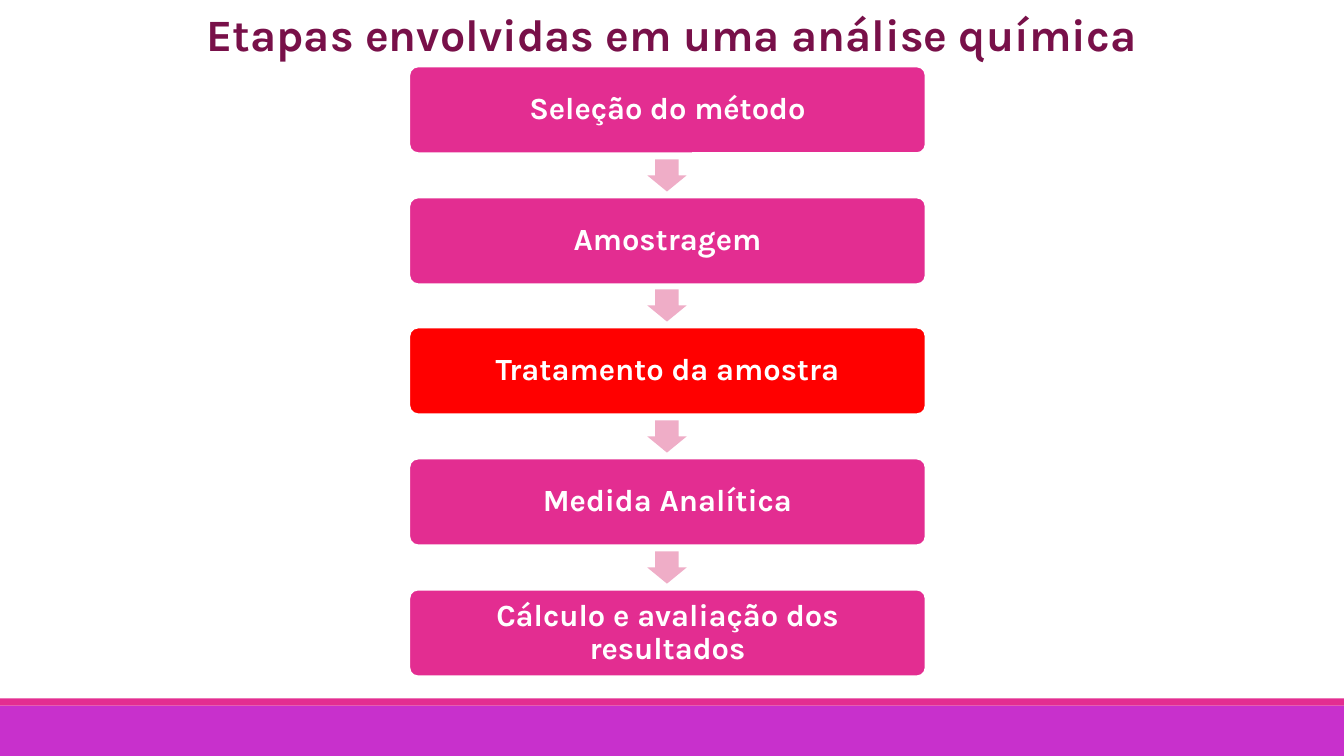
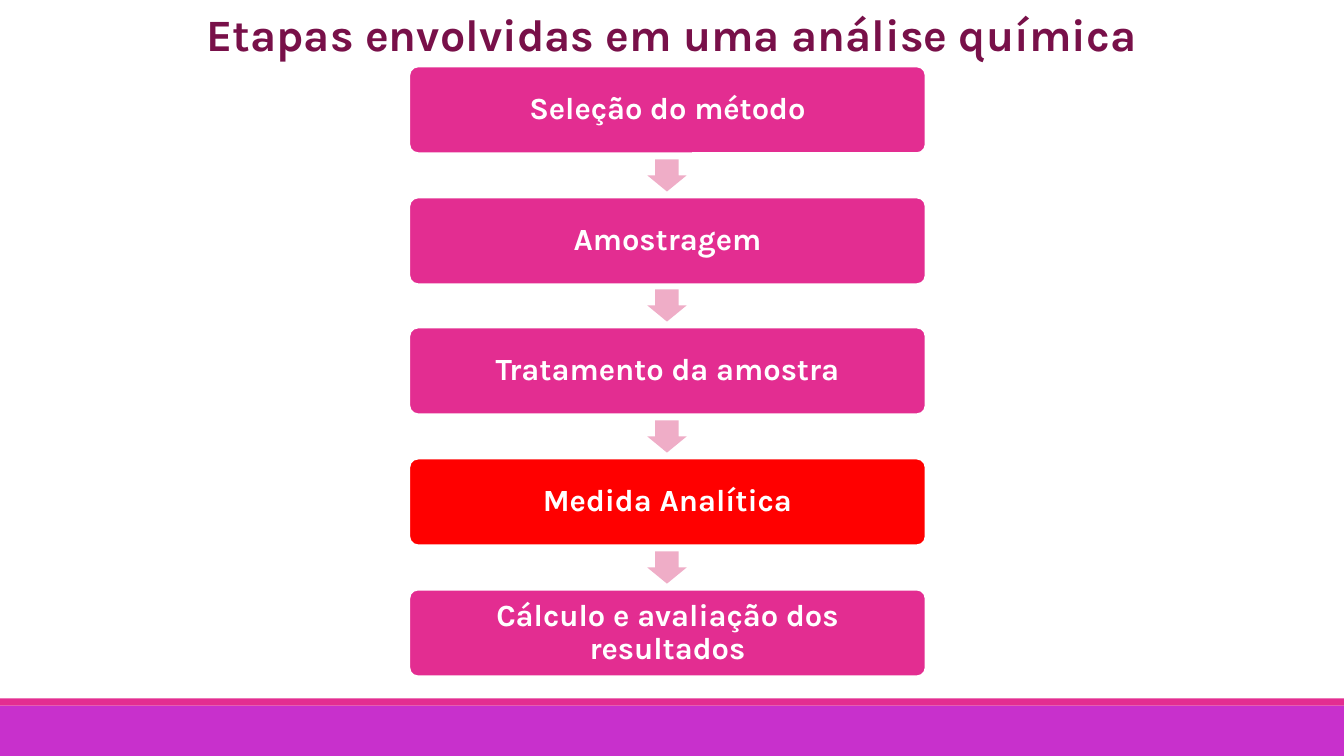
from pptx import Presentation
from pptx.dml.color import RGBColor
from pptx.enum.shapes import MSO_SHAPE
from pptx.enum.text import MSO_ANCHOR, PP_ALIGN
from pptx.util import Emu, Pt

SCALE = 9144
WIDTH, HEIGHT = 1333, 750

PURPLE = "C830CC"
PINK = "E32D91"
PALE_PINK = "EFADC7"
RED = "FF0000"
WINE = "781049"
WHITE = "FFFFFF"

TITLE = "Etapas envolvidas em uma análise química"
STEPS = [
    "Seleção do método",
    "Amostragem",
    "Tratamento da amostra",
    "Medida Analítica",
    "Cálculo e avaliação dos resultados",
]
HIGHLIGHTS = ["Tratamento da amostra", "Medida Analítica"]

BOX_LEFT, BOX_TOP, BOX_WIDTH, BOX_HEIGHT = 406, 66, 512, 86
BOX_PITCH = 129.7
ARROW_WIDTH, ARROW_HEIGHT = 39, 32


def px(length):
    return Emu(length * SCALE)


def color(value):
    return RGBColor.from_string(value)


class Deck:
    font_format = {"name": "Karla", "bold": True}
    step_frame = {
        "word_wrap": True,
        "vertical_anchor": MSO_ANCHOR.MIDDLE,
        "margin_left": px(12),
        "margin_right": px(12),
        "margin_top": px(12),
        "margin_bottom": px(12),
    }

    def __init__(self):
        self.presentation = Presentation()
        self.presentation.slide_width = px(WIDTH)
        self.presentation.slide_height = px(HEIGHT)
        self.page = None

    def add_page(self):
        layout = self.presentation.slide_layouts[6]
        self.page = self.presentation.slides.add_slide(layout)
        self.shape(MSO_SHAPE.RECTANGLE, 0, 700, WIDTH, 50, PURPLE)
        self.shape(MSO_SHAPE.RECTANGLE, 0, 693, WIDTH, 7, PINK)

    def shape(self, kind, left, top, width, height, fill, adjustments=()):
        shape = self.page.shapes.add_shape(kind, px(left), px(top), px(width), px(height))
        shape.shadow.inherit = False
        shape.fill.solid()
        shape.fill.fore_color.rgb = color(fill)
        shape.line.fill.background()
        for index, value in enumerate(adjustments):
            shape.adjustments[index] = value
        return shape

    def label(self, frame, text, size, text_color, line_spacing=1.0):
        para = frame.paragraphs[0]
        para.alignment = PP_ALIGN.CENTER
        para.line_spacing = line_spacing
        span = para.add_run()
        span.text = text
        span.font.size = Pt(size)
        span.font.color.rgb = color(text_color)
        for name, value in self.font_format.items():
            setattr(span.font, name, value)

    def title(self, text):
        box = self.page.shapes.add_textbox(px(0), px(2), px(WIDTH), px(64))
        box.text_frame.word_wrap = True
        self.label(box.text_frame, text, 32, WINE)

    def step(self, text, top, fill):
        box = self.shape(MSO_SHAPE.ROUNDED_RECTANGLE, BOX_LEFT, top,
                         BOX_WIDTH, BOX_HEIGHT, fill, [0.1])
        box.line.color.rgb = color(WHITE)
        box.line.width = Pt(1.25)
        for name, value in self.step_frame.items():
            setattr(box.text_frame, name, value)
        self.label(box.text_frame, text, 22, WHITE, 0.9)

    def arrow(self, top):
        left = BOX_LEFT + (BOX_WIDTH - ARROW_WIDTH) // 2
        self.shape(MSO_SHAPE.DOWN_ARROW, left, top, ARROW_WIDTH, ARROW_HEIGHT,
                   PALE_PINK, [0.6, 0.5])

    def flow(self, steps, highlight):
        tops = [round(BOX_TOP + index * BOX_PITCH) for index in range(len(steps))]
        for text, top in zip(steps, tops):
            self.step(text, top, RED if text == highlight else PINK)
        for top, next_top in zip(tops, tops[1:]):
            self.arrow((top + BOX_HEIGHT + next_top - ARROW_HEIGHT) // 2)


def main():
    deck = Deck()
    for highlight in HIGHLIGHTS:
        deck.add_page()
        deck.title(TITLE)
        deck.flow(STEPS, highlight)
    deck.presentation.save("out.pptx")


if __name__ == "__main__":
    main()
